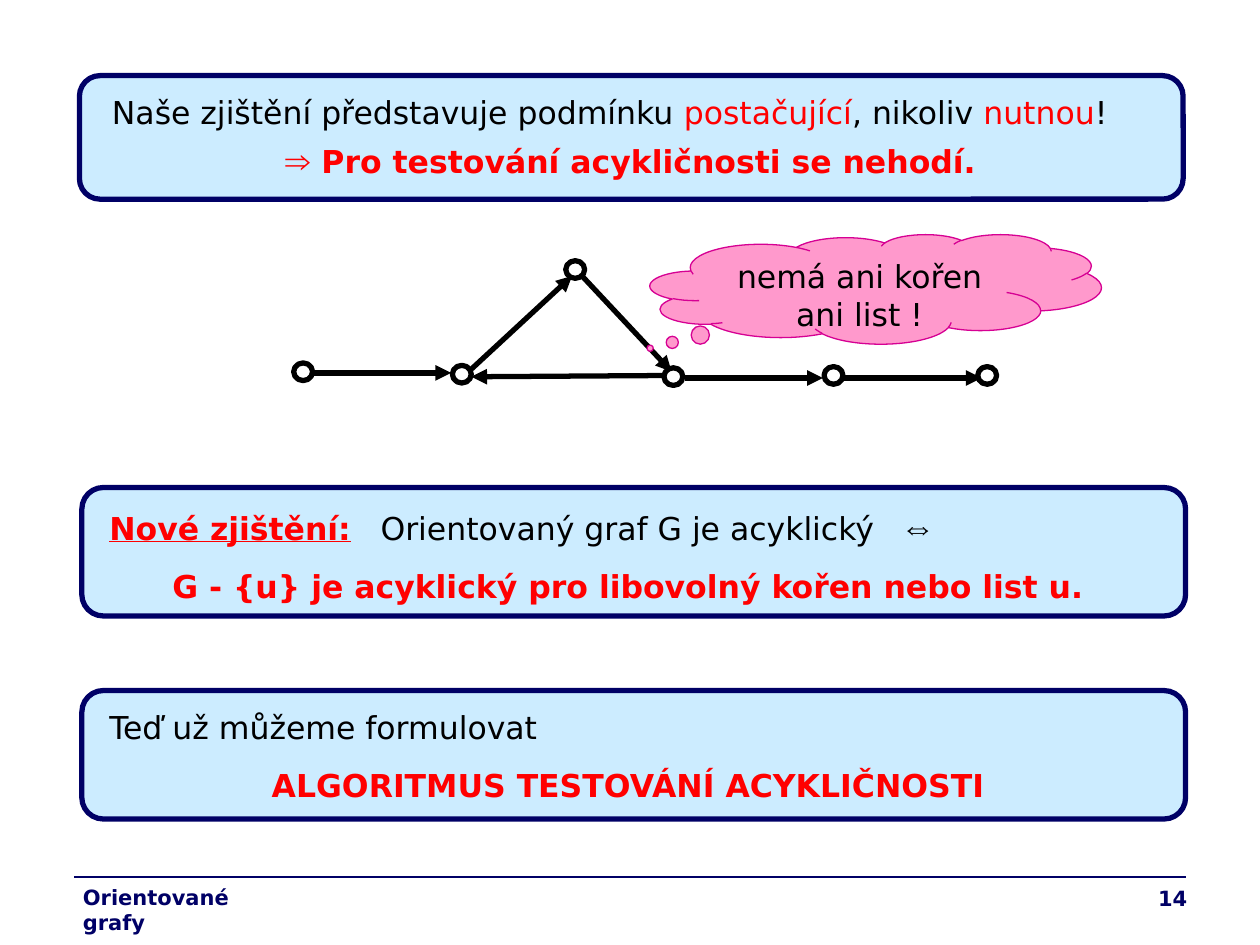
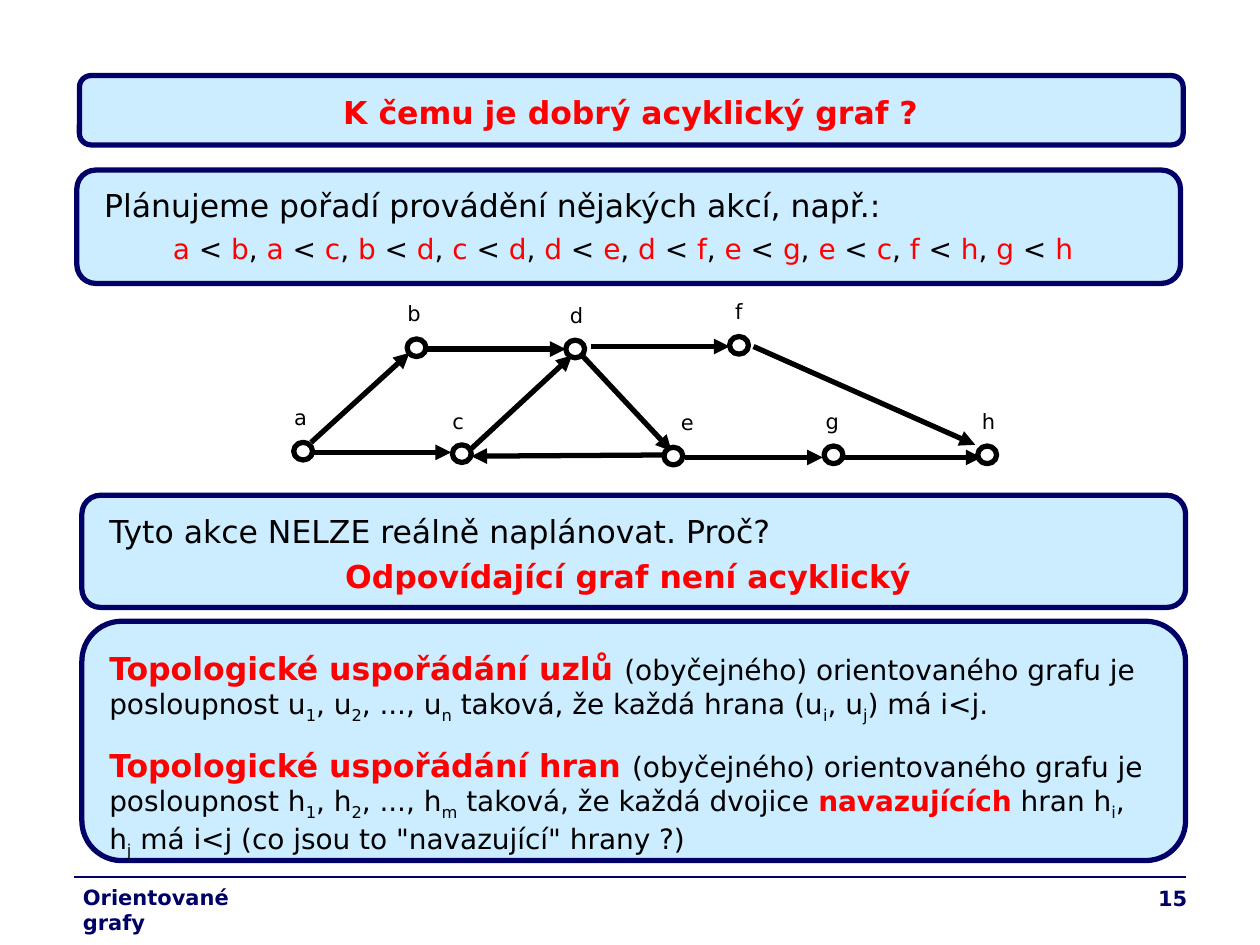
from dataclasses import dataclass
from typing import NamedTuple

from lxml.etree import SubElement
from pptx import Presentation
from pptx.dml.color import RGBColor
from pptx.enum.shapes import MSO_CONNECTOR, MSO_SHAPE
from pptx.enum.text import MSO_ANCHOR, PP_ALIGN
from pptx.oxml.ns import qn
from pptx.util import Pt

# Shared style
NAVY = RGBColor(0x00, 0x00, 0x66)
SKY = RGBColor(0xCC, 0xEC, 0xFF)
RED = RGBColor(0xFF, 0x00, 0x00)
BLACK = RGBColor(0x00, 0x00, 0x00)
WHITE = RGBColor(0xFF, 0xFF, 0xFF)
PINK = RGBColor(0xFF, 0x99, 0xCC)
MAGENTA = RGBColor(0xD6, 0x00, 0x93)
FONT = "DejaVu Sans"
SYMBOL_FONT = "Arial"
PANEL_W, PANEL_TEXT_W = 630.7, 607
NODE_W, NODE_H = 10.8, 10.1
LABEL_W, LABEL_H = 20.9, 21.6


@dataclass
class Run:
    text: str
    color: RGBColor = BLACK
    bold: bool = False
    size: float = 18
    underline: bool = False
    font: str = FONT
    subscript: bool = False


@dataclass
class Para:
    runs: list[Run]
    align: PP_ALIGN = PP_ALIGN.LEFT
    before: float = 4.5
    after: float = 0
    tabs: tuple[float, ...] = ()


@dataclass
class Panel:
    x: float
    y: float
    h: float
    paras: list[Para]
    dx: float = 8.6
    dy: float = 6.5


class Node(NamedTuple):
    x: float
    y: float
    label_x: float
    label_y: float


class Edge(NamedTuple):
    x1: float
    y1: float
    x2: float
    y2: float


# Graph: the core is on both slides, the extension only on the second
CORE_NODES = {
    "a": Node(167.8, 207.4, 161.3, 182.2),
    "c": Node(258.5, 208.8, 251.3, 184.3),
    "d": Node(323.3, 149, 319, 123.8),
    "e": Node(379.4, 210.2, 382.3, 185),
    "g": Node(470.9, 209.5, 465.1, 184.3),
    "h": Node(558.7, 209.5, 554.4, 184.3),
}
CORE_EDGES = [
    Edge(178.6, 213.1, 257.8, 213.1),
    Edge(269.3, 211, 326.9, 157.7),
    Edge(332.6, 157.7, 383.8, 212.4),
    Edge(379.4, 214.6, 269.3, 215.3),
    Edge(391.7, 216, 470.2, 216),
    Edge(481.7, 216, 560.9, 216),
]
EXTRA_NODES = {
    "b": Node(232.6, 148.3, 226.1, 123.1),
    "f": Node(416.9, 146.9, 411.8, 121.7),
}
EXTRA_EDGES = [
    Edge(244.1, 154.1, 323.3, 154.1),
    Edge(337.7, 152.6, 416.9, 152.6),
    Edge(430.6, 152.6, 557.3, 208.8),
    Edge(177.8, 207.4, 234, 156.2),
]


def heading(text: str, before: float = 4.5) -> Para:
    return Para([Run(text, RED, True)], PP_ALIGN.CENTER, before)


def precedences(pairs: str) -> list[Run]:
    """Turn "ab ac" into the runs of "a < b, a < c"."""
    runs = []
    for first, second in pairs.split():
        if runs:
            runs.append(Run(", ", size=16))
        runs += [Run(first, RED, size=16), Run(" < ", size=16),
                 Run(second, RED, size=16)]
    return runs


def indexed(text: str) -> list[Run]:
    """The character after each underscore becomes a subscript."""
    start, *rest = text.split("_")
    runs = [Run(start, size=16)]
    for part in rest:
        runs += [Run(part[0], size=16, subscript=True), Run(part[1:], size=16)]
    return [run for run in runs if run.text]


def write(tf, paras: list[Para], margin_x: float = 7.2) -> None:
    tf.word_wrap = True
    tf.vertical_anchor = MSO_ANCHOR.TOP
    tf.margin_left = tf.margin_right = Pt(margin_x)
    tf.margin_top = tf.margin_bottom = Pt(3.6)
    for i, para in enumerate(paras):
        p = tf.add_paragraph() if i else tf.paragraphs[0]
        p.alignment = para.align
        p.space_before, p.space_after = Pt(para.before), Pt(para.after)
        if para.tabs:
            tab_list = SubElement(p._p.get_or_add_pPr(), qn("a:tabLst"))
            for pos in para.tabs:
                SubElement(tab_list, qn("a:tab"), pos=str(int(Pt(pos))), algn="l")
        for run in para.runs:
            r = p.add_run()
            r.text = run.text
            r.font.name, r.font.size = run.font, Pt(run.size)
            r.font.bold, r.font.underline = run.bold, run.underline
            r.font.color.rgb = run.color
            if run.subscript:
                r._r.get_or_add_rPr().set("baseline", "-25000")


def add_text(slide, x: float, y: float, w: float, h: float,
             paras: list[Para], margin_x: float = 7.2) -> None:
    sp = slide.shapes.add_textbox(Pt(x), Pt(y), Pt(w), Pt(h))
    write(sp.text_frame, paras, margin_x)


def add_box(slide, kind: MSO_SHAPE, x: float, y: float, w: float, h: float,
            fill: RGBColor, line: RGBColor, width: float = 3):
    sp = slide.shapes.add_shape(kind, Pt(x), Pt(y), Pt(w), Pt(h))
    sp.shadow.inherit = False
    sp.fill.solid()
    sp.fill.fore_color.rgb = fill
    sp.line.color.rgb = line
    sp.line.width = Pt(width)
    return sp


def add_line(slide, edge: Edge, color: RGBColor, width: float,
             arrow: bool = False) -> None:
    cx = slide.shapes.add_connector(MSO_CONNECTOR.STRAIGHT, *map(Pt, edge))
    cx.line.color.rgb = color
    cx.line.width = Pt(width)
    if arrow:
        SubElement(cx.line._get_or_add_ln(), qn("a:tailEnd"), type="triangle")
    SubElement(cx._element.spPr, qn("a:effectLst"))


def add_panel(slide, panel: Panel) -> None:
    add_box(slide, MSO_SHAPE.ROUNDED_RECTANGLE, panel.x, panel.y, PANEL_W,
            panel.h, SKY, NAVY)
    add_text(slide, panel.x + panel.dx, panel.y + panel.dy, PANEL_TEXT_W,
             panel.h - 2 * panel.dy, panel.paras)


def add_graph(slide, nodes: dict[str, Node], edges: list[Edge],
              shift: float = 0, labelled: bool = False) -> None:
    for e in edges:
        add_line(slide, Edge(e.x1, e.y1 + shift, e.x2, e.y2 + shift),
                 BLACK, 3, arrow=True)
    for name, node in nodes.items():
        add_box(slide, MSO_SHAPE.OVAL, node.x, node.y + shift, NODE_W, NODE_H,
                WHITE, BLACK)
        if labelled:
            add_text(slide, node.label_x, node.label_y + shift, LABEL_W, LABEL_H,
                     [Para([Run(name, size=12)], PP_ALIGN.CENTER)], margin_x=0)


def add_slide(prs, number: int, panels: list[Panel]):
    slide = prs.slides.add_slide(prs.slide_layouts[6])
    # Footer
    add_line(slide, Edge(42.5, 501.1, 677.5, 501.1), NAVY, 0.75)
    add_text(slide, 40.3, 501.8, 124.6, 21.6,
             [Para([Run("Orientované grafy", NAVY, True, 12)], before=3)])
    add_text(slide, 535.7, 502.6, 149.8, 25.9,
             [Para([Run(str(number), NAVY, True, 12)], PP_ALIGN.RIGHT, 0)])
    for panel in panels:
        add_panel(slide, panel)
    return slide


def main() -> None:
    prs = Presentation()
    prs.slide_width, prs.slide_height = Pt(720), Pt(540)

    # Slide 14: finding, counterexample, new finding
    slide = add_slide(prs, 14, [
        Panel(45.4, 43.2, 70.6, [
            Para([Run("Naše zjištění představuje podmínku "),
                  Run("postačující", RED), Run(", nikoliv "),
                  Run("nutnou", RED), Run("!")], before=11.2),
            Para([Run("⇒", RED, True, 20, font=SYMBOL_FONT),
                  Run(" Pro testování acykličnosti se nehodí.", RED, True)],
                 PP_ALIGN.CENTER),
        ], dx=11.5),
        Panel(46.8, 278.6, 73.4, [
            Para([Run("Nové zjištění:", RED, True, underline=True),
                  Run("\tOrientovaný graf G je acyklický\t"),
                  Run("⇔", bold=True, size=20, font=SYMBOL_FONT)],
                 tabs=(155, 452)),
            heading("G - {u} je acyklický pro libovolný kořen nebo list u.", 11.2),
        ]),
        Panel(46.8, 394.6, 73.4, [
            Para([Run("Teď už můžeme formulovat")]),
            heading("ALGORITMUS TESTOVÁNÍ ACYKLIČNOSTI", 11.2),
        ]),
    ])
    add_graph(slide, CORE_NODES, CORE_EDGES)
    cloud = add_box(slide, MSO_SHAPE.CLOUD_CALLOUT, 371.5, 133.9, 257.8, 62.6,
                    PINK, MAGENTA, 0.75)
    cloud.adjustments[0], cloud.adjustments[1] = -0.5, 0.54
    write(cloud.text_frame,
          [Para([Run("nemá ani kořen ani list !")], PP_ALIGN.CENTER)])

    # Slide 15: planning example and topological order
    slide = add_slide(prs, 15, [
        Panel(45.4, 43.2, 39.6,
              [heading("K čemu je dobrý acyklický graf ?", 11.2)], dx=11.5),
        Panel(43.9, 97.2, 64.8, [
            Para([Run("Plánujeme pořadí provádění nějakých akcí, např.:")]),
            Para(precedences("ab ac bd cd de df eg ec fh gh"),
                 PP_ALIGN.CENTER, 4),
        ], dy=5.8),
        Panel(46.8, 283, 64.1, [
            Para([Run("Tyto akce NELZE reálně naplánovat. Proč?")]),
            heading("Odpovídající graf není acyklický"),
        ], dy=5.8),
        Panel(46.8, 355, 136.8, [
            Para([Run("Topologické uspořádání uzlů ", RED, True),
                  *indexed("(obyčejného) orientovaného grafu je posloupnost "
                           "u_1, u_2, ..., u_n taková, že každá hrana "
                           "(u_i, u_j) má i<j.")], before=2, after=2),
            Para([Run("Topologické uspořádání hran ", RED, True),
                  *indexed("(obyčejného) orientovaného grafu je posloupnost "
                           "h_1, h_2, ..., h_m taková, že každá dvojice "),
                  Run("navazujících", RED, True, 16),
                  *indexed(" hran h_i, h_j má i<j "
                           "(co jsou to \"navazující\" hrany ?)")],
                 before=10, after=2),
        ], dy=12.2),
    ])
    add_graph(slide, CORE_NODES | EXTRA_NODES, CORE_EDGES + EXTRA_EDGES,
              shift=45.4, labelled=True)

    prs.save("out.pptx")


if __name__ == "__main__":
    main()
